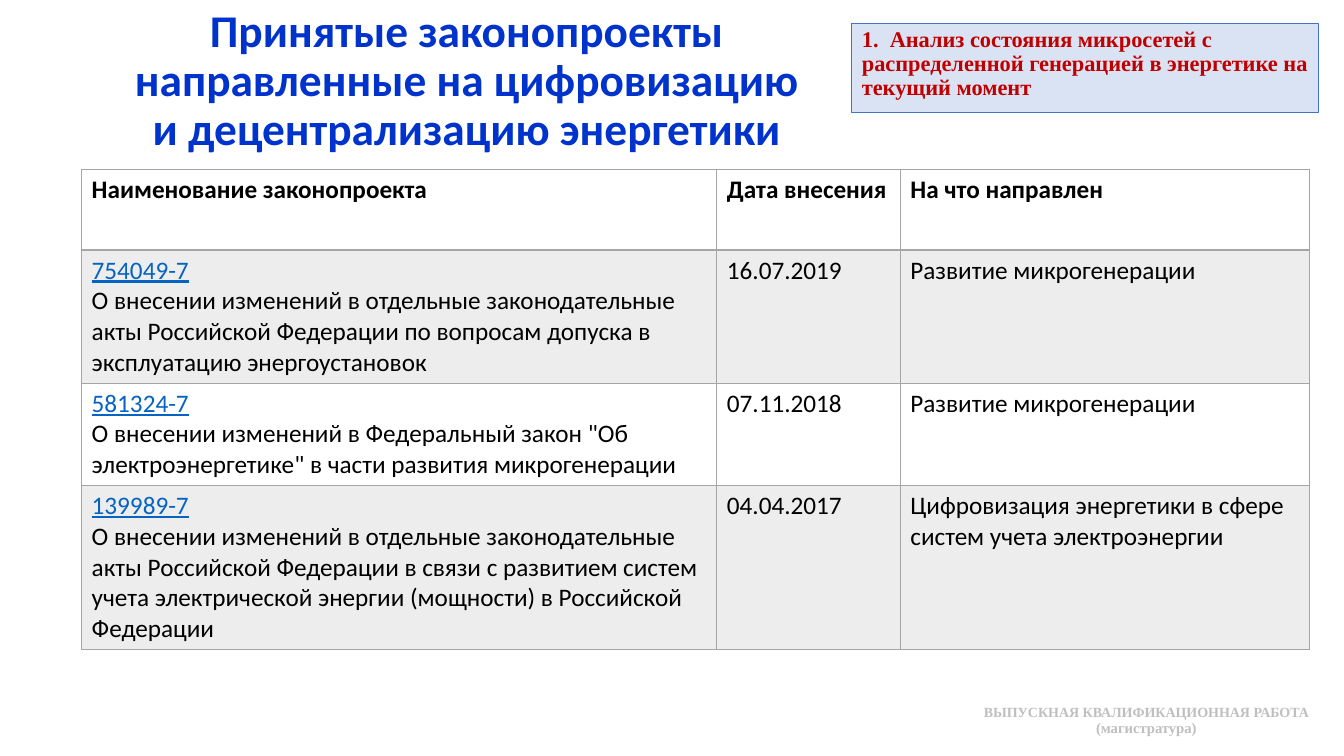
from lxml.etree import SubElement
from pptx import Presentation
from pptx.dml.color import RGBColor
from pptx.enum.shapes import MSO_SHAPE
from pptx.enum.text import MSO_ANCHOR, MSO_AUTO_SIZE, PP_ALIGN
from pptx.oxml.ns import qn
from pptx.util import Inches, Pt

THEME = {
    "fill": {"box": "DAE3F3", "band": "EDEDED", "plain": "FFFFFF"},
    "line": {"box": "4472C4", "grid": "A5A5A5"},
    "text": {
        "title": ("0033CC", {"name": "Calibri", "size": Pt(32.4), "bold": True}),
        "topic": ("C00000", {"name": "Times New Roman", "size": Pt(16), "bold": True}),
        "foot": ("BFBFBF", {"name": "Times New Roman", "size": Pt(10), "bold": True}),
        "degree": ("BFBFBF", {"name": "Times New Roman", "size": Pt(10.5), "bold": True}),
        "head": ("000000", {"name": "Calibri", "size": Pt(18), "bold": True}),
        "cell": ("000000", {"name": "Calibri", "size": Pt(18), "bold": False}),
        "link": ("0563C1", {"name": "Calibri", "size": Pt(18), "bold": False, "underline": True}),
    },
}


def write(para, text, style):
    run = para.add_run()
    run.text = text
    color, values = THEME["text"][style]
    for key, value in values.items():
        setattr(run.font, key, value)
    run.font.color.rgb = RGBColor.from_string(color)


def setup(shape, anchor, align):
    frame = shape.text_frame
    values = {"word_wrap": True, "auto_size": MSO_AUTO_SIZE.NONE, "vertical_anchor": anchor}
    for key, value in values.items():
        setattr(frame, key, value)
    para = frame.paragraphs[0]
    para.alignment = align
    para.line_spacing = 0.9
    return para


deck = Presentation()
deck.slide_width, deck.slide_height = Inches(13.33), Inches(7.5)
slide = deck.slides.add_slide(deck.slide_layouts[5])
shapes = slide.shapes

# Title
title = shapes.title
title.left, title.top = Inches(1.22), Inches(0.13)
title.width, title.height = Inches(6.82), Inches(1.36)
para = setup(title, MSO_ANCHOR.MIDDLE, PP_ALIGN.CENTER)
write(para, "Принятые законопроекты направленные на цифровизацию и децентрализацию энергетики", "title")

# Footer
foot = shapes.add_textbox(Inches(9.52), Inches(6.9), Inches(3.7), Inches(0.46))
para = setup(foot, MSO_ANCHOR.BOTTOM, PP_ALIGN.CENTER)
write(para, "ВЫПУСКНАЯ КВАЛИФИКАЦИОННАЯ РАБОТА ", "foot")
write(para, "(магистратура)", "degree")

# Topic box
box = shapes.add_shape(MSO_SHAPE.RECTANGLE, Inches(8.45), Inches(0.23), Inches(4.63), Inches(0.89))
box.shadow.inherit = False
box.fill.solid()
box.fill.fore_color.rgb = RGBColor.from_string(THEME["fill"]["box"])
box.line.color.rgb = RGBColor.from_string(THEME["line"]["box"])
box.line.width = Pt(0.75)
para = setup(box, MSO_ANCHOR.TOP, PP_ALIGN.LEFT)
write(para, "1.  Анализ состояния микросетей с распределенной генерацией в энергетике на текущий момент", "topic")

# Table of bills: number, name, date, purpose
HEADS = ["Наименование законопроекта", "Дата внесения", "На что направлен"]
BILLS = [
    ("754049-7",
     "О внесении изменений в отдельные законодательные акты Российской Федерации "
     "по вопросам допуска в эксплуатацию энергоустановок",
     "16.07.2019", "Развитие микрогенерации"),
    ("581324-7",
     "О внесении изменений в Федеральный закон \"Об электроэнергетике\" "
     "в части развития микрогенерации",
     "07.11.2018", "Развитие микрогенерации"),
    ("139989-7",
     "О внесении изменений в отдельные законодательные акты Российской Федерации "
     "в связи с развитием систем учета электрической энергии (мощности) в Российской Федерации",
     "04.04.2017", "Цифровизация энергетики в сфере систем учета электроэнергии"),
]
WIDTHS = [6.3, 1.82, 4.06]
HEIGHTS = [0.8, 1.3, 1, 1.59]

frame = shapes.add_table(len(HEIGHTS), len(WIDTHS), Inches(0.81), Inches(1.68),
                         Inches(sum(WIDTHS)), Inches(sum(HEIGHTS)))
table = frame.table
table.first_row = table.horz_banding = False
for col, width in zip(table.columns, WIDTHS):
    col.width = Inches(width)
for row, height in zip(table.rows, HEIGHTS):
    row.height = Inches(height)

# Cell text
for col, head in enumerate(HEADS):
    write(table.cell(0, col).text_frame.paragraphs[0], head, "head")
for row, (number, name, date, goal) in enumerate(BILLS, 1):
    para = table.cell(row, 0).text_frame.paragraphs[0]
    write(para, number, "link")
    para.add_line_break()
    write(para, name, "cell")
    for col, text in enumerate((date, goal), 1):
        write(table.cell(row, col).text_frame.paragraphs[0], text, "cell")

# Cell borders and bands, with a thicker rule under the heads
for row in range(len(HEIGHTS)):
    for col in range(len(WIDTHS)):
        cell = table.cell(row, col)
        props = cell._tc.get_or_add_tcPr()
        for side in "LRTB":
            thick = (row, side) in ((0, "B"), (1, "T"))
            line = SubElement(props, qn(f"a:ln{side}"), w=str(Pt(2 if thick else 1)))
            solid = SubElement(line, qn("a:solidFill"))
            SubElement(solid, qn("a:srgbClr"), val=THEME["line"]["grid"])
        cell.fill.solid()
        shade = "band" if row % 2 else "plain"
        cell.fill.fore_color.rgb = RGBColor.from_string(THEME["fill"][shade])

deck.save("out.pptx")
